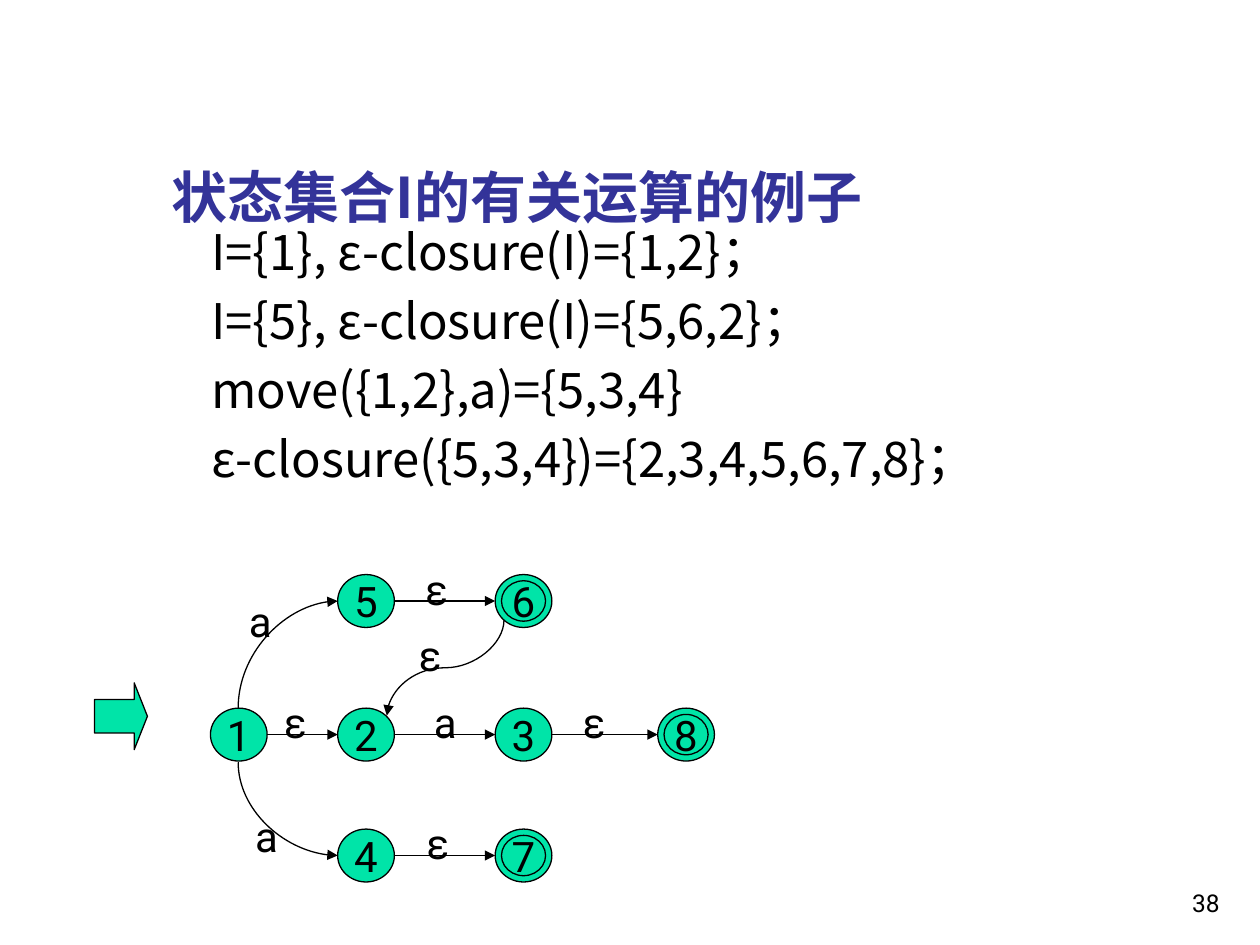
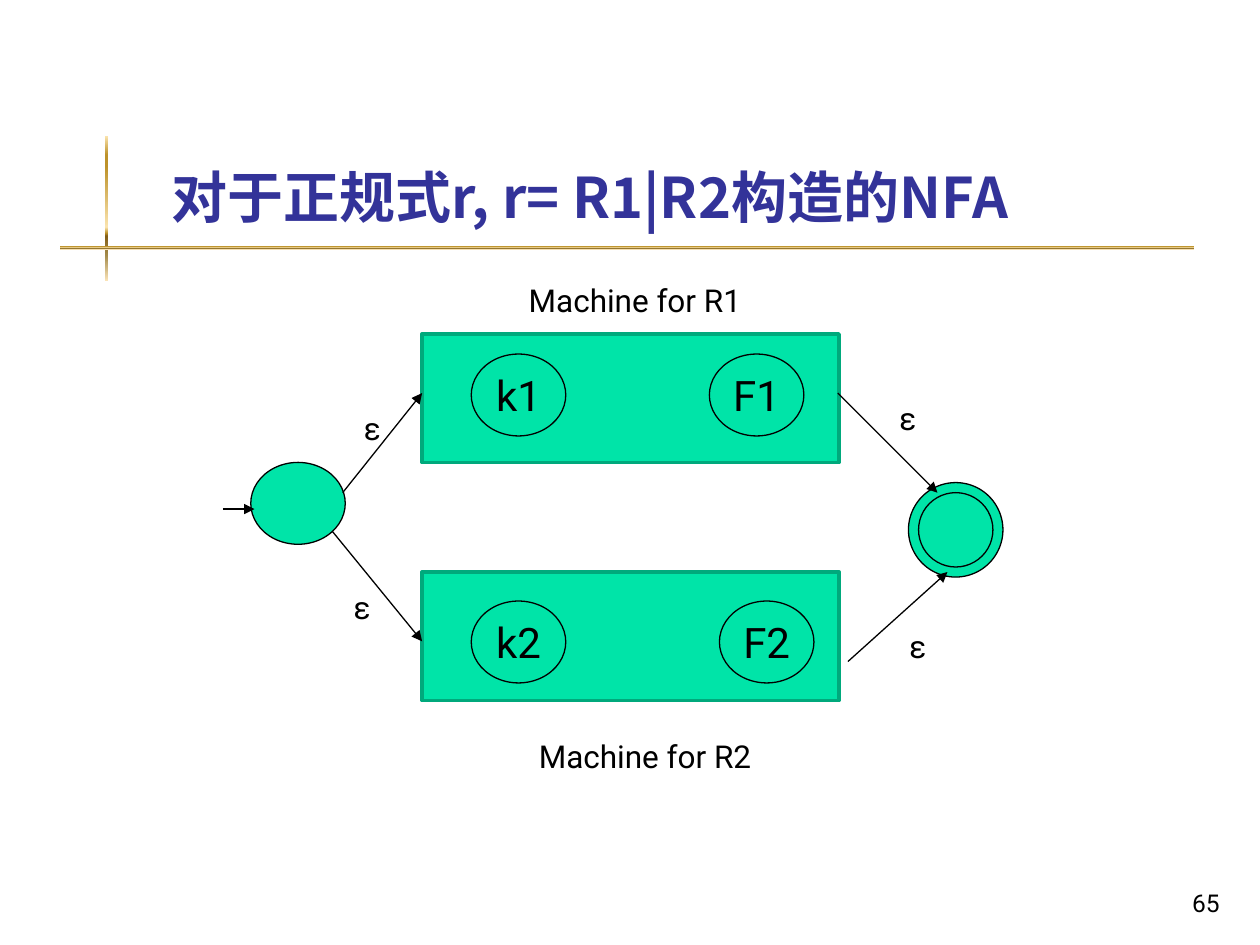
from lxml.etree import SubElement
from pptx import Presentation
from pptx.dml.color import RGBColor
from pptx.enum.shapes import MSO_CONNECTOR, MSO_SHAPE
from pptx.enum.text import MSO_ANCHOR, MSO_AUTO_SIZE, PP_ALIGN
from pptx.oxml.ns import qn
from pptx.util import Pt

PX = 9144  # 100 px to the inch
TITLE_ONLY = 5

BLACK = RGBColor(0x00, 0x00, 0x00)
INDIGO = RGBColor(0x33, 0x33, 0x99)
MINT = RGBColor(0x00, 0xE4, 0xA8)
DARK_MINT = RGBColor(0x00, 0xA9, 0x7C)
PALE_GOLD = RGBColor(0xFB, 0xE4, 0xAE)
GOLD = RGBColor(0xBD, 0x92, 0x2A)
BROWN = RGBColor(0x83, 0x5E, 0x17)
OLIVE = RGBColor(0xA2, 0x89, 0x49)
CREAM = RGBColor(0xFA, 0xE3, 0xB7)
GOLD_STOPS = [(0, PALE_GOLD), (13, GOLD), (21, GOLD), (63, PALE_GOLD),
              (67, GOLD), (69, BROWN), (82, OLIVE), (100, CREAM)]

CJK_FONT = "Noto Sans CJK JP"
LATIN_FONT = "Roboto"


def px(*lengths):
    return [round(length * PX) for length in lengths]


# Text
def style_text(frame, size, font=LATIN_FONT, color=BLACK, bold=False,
               align=PP_ALIGN.CENTER):
    for paragraph in frame.paragraphs:
        paragraph.alignment = align
        for run in paragraph.runs:
            run.font.size = Pt(size)
            run.font.name = font
            run.font.bold = bold
            run.font.color.rgb = color
            SubElement(run.font._element, qn("a:ea")).set("typeface", font)


def set_margins(frame, margin):
    frame.margin_left = frame.margin_right = margin
    frame.margin_top = frame.margin_bottom = margin


def add_label(slide, text, x, y, width, height, size, align=PP_ALIGN.CENTER,
              anchor=MSO_ANCHOR.MIDDLE):
    frame = slide.shapes.add_textbox(*px(x, y, width, height)).text_frame
    frame.word_wrap = True
    frame.vertical_anchor = anchor
    set_margins(frame, 5 * PX)
    frame.text = text
    style_text(frame, size, align=align)
    return frame


def add_formulas(slide, lines):
    frame = slide.shapes.add_textbox(*px(108, 170, 850, 550)).text_frame
    frame.word_wrap = True
    frame.text = "\n".join(lines)
    style_text(frame, 28, CJK_FONT, align=PP_ALIGN.LEFT)
    for paragraph in frame.paragraphs:
        paragraph.line_spacing = Pt(34)
        paragraph.space_before = Pt(5.5)
        indent = paragraph._p.get_or_add_pPr()
        indent.set("marL", str(81 * PX))
        indent.set("indent", str(-31 * PX))


# Shared slide frame
def add_slide(deck, title_text, page_number):
    slide = deck.slides.add_slide(deck.slide_layouts[TITLE_ONLY])
    title = slide.shapes.title
    title.left, title.top, title.width, title.height = px(126, 23, 852, 160)
    frame = title.text_frame
    frame.text = title_text
    frame.word_wrap = True
    frame.auto_size = MSO_AUTO_SIZE.NONE
    frame.vertical_anchor = MSO_ANCHOR.BOTTOM
    frame.margin_bottom = PX
    style_text(frame, 32, CJK_FONT, INDIGO, True, PP_ALIGN.LEFT)
    add_label(slide, page_number, 770, 683, 203, 50, 14, PP_ALIGN.RIGHT,
              MSO_ANCHOR.BOTTOM)
    return slide


def add_gold_band(slide, x, y, width, height):
    band = slide.shapes.add_shape(MSO_SHAPE.RECTANGLE, *px(x, y, width, height))
    band.shadow.inherit = False
    band.line.fill.background()
    band.fill.gradient()
    band.fill.gradient_angle = 270
    stops = band.element.spPr.find(qn("a:gradFill")).find(qn("a:gsLst"))
    for stop in list(stops):
        stops.remove(stop)
    for position, color in GOLD_STOPS:
        stop = SubElement(stops, qn("a:gs"))
        stop.set("pos", str(position * 1000))
        SubElement(stop, qn("a:srgbClr")).set("val", str(color))


# Automaton parts
def add_block(slide, kind, x, y, width, height, edge=BLACK, weight=0.75):
    block = slide.shapes.add_shape(kind, *px(x, y, width, height))
    block.shadow.inherit = False
    block.fill.solid()
    block.fill.fore_color.rgb = MINT
    block.line.color.rgb = edge
    block.line.width = Pt(weight)
    return block


def add_state(slide, name, x, y, width, height, rim=0):
    """Draw a state; a rim makes it an accepting one."""
    state = add_block(slide, MSO_SHAPE.OVAL, x, y, width, height)
    if rim:
        state = add_block(slide, MSO_SHAPE.OVAL, x + rim, y + rim,
                          width - 2 * rim, height - 2 * rim)
    if name:
        frame = state.text_frame
        set_margins(frame, 0)
        frame.word_wrap = False
        frame.vertical_anchor = MSO_ANCHOR.MIDDLE
        frame.text = name
        style_text(frame, 24)


def finish_arrow(arrow):
    arrow.line.color.rgb = BLACK
    arrow.line.width = Pt(0.75)
    properties = arrow.element.spPr
    SubElement(properties.find(qn("a:ln")), qn("a:tailEnd")).set("type", "triangle")
    SubElement(properties, qn("a:effectLst"))


def add_arrow(slide, start, end):
    finish_arrow(slide.shapes.add_connector(MSO_CONNECTOR.STRAIGHT,
                                            *px(*start, *end)))


def add_curve(slide, start, end, preset):
    """Draw a curve that leaves its start vertically, as a turned connector."""
    (x1, y1), (x2, y2) = start, end
    middle_x, middle_y = (x1 + x2) / 2, (y1 + y2) / 2
    half_width, half_height = abs(y2 - y1) / 2, abs(x2 - x1) / 2
    curve = slide.shapes.add_connector(
        MSO_CONNECTOR.CURVE,
        *px(middle_x - half_width, middle_y - half_height,
            middle_x + half_width, middle_y + half_height))
    transform = curve.element.spPr.find(qn("a:xfrm"))
    rightward = x2 > x1
    transform.set("rot", str((270 if rightward else 90) * 60000))
    if rightward and y2 > y1:
        transform.set("flipH", "1")
    curve.element.spPr.find(qn("a:prstGeom")).set("prst", preset)
    finish_arrow(curve)


# Slides
def build_closure_slide(deck):
    slide = add_slide(deck, "状态集合I的有关运算的例子", "38")
    add_formulas(slide, ["I={1}, ε-closure(I)={1,2}；",
                         "I={5}, ε-closure(I)={5,6,2}；",
                         "move({1,2},a)={5,3,4}",
                         "ε-closure({5,3,4})={2,3,4,5,6,7,8}；"])

    # States on a grid of columns and rows
    width, height = 45, 42
    columns = [167, 268, 393, 522]
    top, middle, bottom = 456, 562, 658
    for name, column, row in [("1", 0, middle), ("2", 1, middle),
                              ("5", 1, top), ("3", 2, middle),
                              ("4", 1, bottom)]:
        add_state(slide, name, columns[column], row, width, height)
    for name, column, row in [("6", 2, top), ("8", 3, middle), ("7", 2, bottom)]:
        add_state(slide, name, columns[column], row, width, height, rim=5)

    # Transitions
    for column, row in [(1, bottom), (1, middle), (1, top), (0, middle),
                        (2, middle)]:
        y = row + height // 2
        add_arrow(slide, (columns[column] + width, y), (columns[column + 1], y))
    add_curve(slide, (400, 492), (307, 568), "curvedConnector3")
    add_curve(slide, (189, 562), (268, 477), "curvedConnector2")
    add_curve(slide, (189, 605), (268, 679), "curvedConnector2")
    for symbol, x, y in [("a", 189, 468), ("a", 194, 638), ("ε", 217, 548),
                         ("ε", 324, 495), ("ε", 329, 442), ("ε", 454, 548),
                         ("ε", 330, 644), ("a", 336, 548)]:
        add_label(slide, symbol, x, y, 35, 50, 24)

    # Start marker
    marker = add_block(slide, MSO_SHAPE.RIGHT_ARROW, 75, 542, 42, 53)
    marker.adjustments[0] = 0.5
    marker.adjustments[1] = 0.25


def build_union_slide(deck):
    slide = add_slide(deck, "对于正规式r, r= R1|R2构造的NFA", "65")
    add_gold_band(slide, 83, 108, 3, 115)
    add_gold_band(slide, 48, 195, 900, 3)

    # Machines with their first and last states
    for number, y, state_y, last_x, caption_x, caption_y in [
            (1, 265, 281, 563, 366, 218), (2, 454, 477, 571, 374, 580)]:
        add_block(slide, MSO_SHAPE.RECTANGLE, 335, y, 331, 102, DARK_MINT, 2)
        add_state(slide, f"k{number}", 374, state_y, 75, 65)
        add_state(slide, f"F{number}", last_x, state_y, 75, 65)
        add_label(slide, f"Machine for R{number}", caption_x, caption_y,
                  276, 40, 18)

    # New start and accepting states
    add_state(slide, "", 199, 367, 75, 65)
    add_state(slide, "", 721, 383, 75, 75, rim=8)

    # Transitions
    for start, end in [((177, 404), (202, 404)), ((264, 422), (335, 509)),
                       ((673, 525), (752, 454)), ((665, 312), (744, 391)),
                       ((272, 391), (335, 312))]:
        add_arrow(slide, start, end)
    for x, y in [(280, 320), (272, 462), (713, 493), (705, 312)]:
        add_label(slide, "ε", x, y, 31, 40, 18)


def main():
    deck = Presentation()
    deck.slide_width, deck.slide_height = px(1000, 750)
    build_closure_slide(deck)
    build_union_slide(deck)
    deck.save("out.pptx")


if __name__ == "__main__":
    main()
